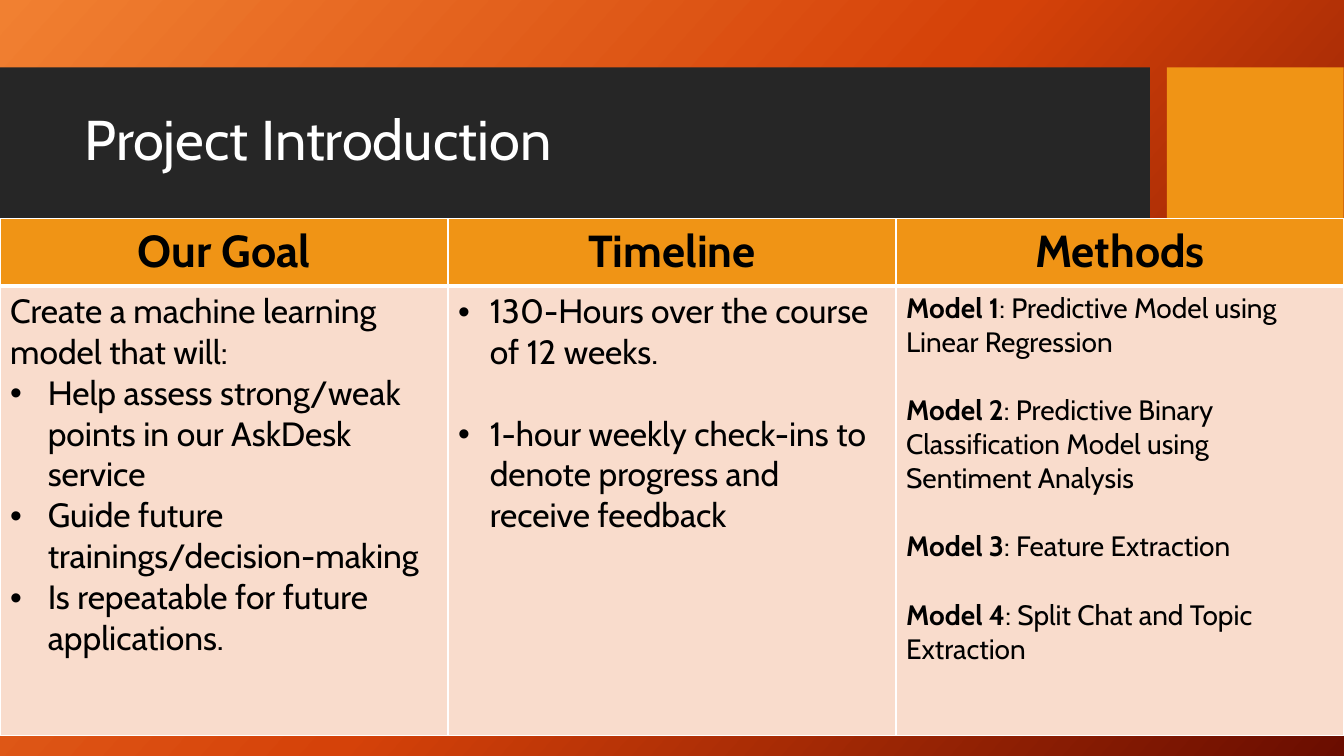
from copy import deepcopy
from dataclasses import dataclass

from lxml.etree import SubElement
from pptx import Presentation
from pptx.dml.color import RGBColor
from pptx.enum.shapes import MSO_SHAPE
from pptx.enum.text import MSO_ANCHOR, PP_ALIGN
from pptx.oxml.ns import qn
from pptx.util import Cm, Pt


@dataclass(frozen=True)
class Theme:
    font: str = "Cabin"
    background: tuple[str, ...] = ("F18031", "D54209", "6A0D00")
    background_angle: int = 42
    banner: str = "262626"
    accent: str = "F09415"
    body: str = "F9DCCC"
    light: str = "FFFFFF"
    dark: str = "000000"
    title_size: int = 40
    heading_size: int = 32
    goal_size: int = 24
    method_size: int = 20
    border: int = 1
    heading_rule: int = 3


@dataclass(frozen=True)
class Entry:
    text: str
    lead: str = ""
    indent: float = 0
    gap: float = 0


@dataclass(frozen=True)
class Topic:
    heading: str
    size: int
    entries: tuple[Entry, ...]


@dataclass(frozen=True)
class Band:
    left: float
    width: float
    color: str


THEME = Theme()
SLIDE_WIDTH, SLIDE_HEIGHT = 33.87, 19.05
BAND_TOP, BAND_HEIGHT = 1.7, 3.81
HEADING_HEIGHT, BODY_HEIGHT = 1.7, 11.32
GOAL_INDENT, TIMELINE_INDENT = 0.95, 0.8
TIMELINE_GAP, METHOD_GAP = 29.2, 24.3

BANDS = (
    Band(0, 28.98, THEME.banner),
    Band(29.41, 4.45, THEME.accent),
)

TOPICS = (
    Topic("Our Goal", THEME.goal_size, (
        Entry("Create a machine learning model that will:"),
        Entry("Help assess strong/weak points in our AskDesk service", indent=GOAL_INDENT),
        Entry("Guide future trainings/decision-making", indent=GOAL_INDENT),
        Entry("Is repeatable for future applications.", indent=GOAL_INDENT),
    )),
    Topic("Timeline", THEME.goal_size, (
        Entry("130-Hours over the course of 12 weeks.", indent=TIMELINE_INDENT),
        Entry("1-hour weekly check-ins to denote progress and receive feedback",
              indent=TIMELINE_INDENT, gap=TIMELINE_GAP),
    )),
    Topic("Methods", THEME.method_size, (
        Entry(": Predictive Model using Linear Regression", "Model 1"),
        Entry(": Predictive Binary Classification Model using Sentiment Analysis",
              "Model 2", gap=METHOD_GAP),
        Entry(": Feature Extraction", "Model 3", gap=METHOD_GAP),
        Entry(": Split Chat and Topic Extraction", "Model 4", gap=METHOD_GAP),
    )),
)


def rgb(color: str) -> RGBColor:
    return RGBColor.from_string(color)


def style_font(paragraph, size: int, color: str) -> None:
    paragraph.font.name = THEME.font
    paragraph.font.size = Pt(size)
    paragraph.font.color.rgb = rgb(color)


def paint_background(slide) -> None:
    fill = slide.background.fill
    fill.gradient()
    fill.gradient_angle = 360 - THEME.background_angle
    stop_list = slide.element.find(f".//{qn('a:gsLst')}")
    stop_list.append(deepcopy(stop_list[-1]))
    last = len(THEME.background) - 1
    for index, (stop, color) in enumerate(zip(fill.gradient_stops, THEME.background)):
        stop.color.rgb = rgb(color)
        stop.position = index / last


def draw_band(slide, band: Band) -> None:
    rectangle = slide.shapes.add_shape(
        MSO_SHAPE.RECTANGLE, Cm(band.left), Cm(BAND_TOP), Cm(band.width), Cm(BAND_HEIGHT))
    rectangle.shadow.inherit = False
    rectangle.fill.solid()
    rectangle.fill.fore_color.rgb = rgb(band.color)
    rectangle.line.fill.background()


def draw_title(slide, title: str) -> None:
    frame = slide.shapes.add_textbox(Cm(1.88), Cm(2.08), Cm(26.7), Cm(3)).text_frame
    frame.word_wrap = True
    frame.vertical_anchor = MSO_ANCHOR.MIDDLE
    paragraph = frame.paragraphs[0]
    paragraph.text = title
    paragraph.line_spacing = 0.9
    style_font(paragraph, THEME.title_size, THEME.light)


def style_cell(cell, color: str, top: int, bottom: int) -> None:
    properties = cell._tc.get_or_add_tcPr()
    widths = {"a:lnL": THEME.border, "a:lnR": THEME.border, "a:lnT": top, "a:lnB": bottom}
    for side, width in widths.items():
        line = SubElement(properties, qn(side), w=str(Pt(width)))
        SubElement(SubElement(line, qn("a:solidFill")), qn("a:srgbClr"), val=THEME.light)
    cell.fill.solid()
    cell.fill.fore_color.rgb = rgb(color)


def add_bullet(paragraph, indent: float) -> None:
    properties = paragraph._p.get_or_add_pPr()
    properties.set("marL", str(Cm(indent)))
    properties.set("indent", str(-Cm(indent)))
    bullet_font = SubElement(properties, qn("a:buFont"), typeface="Arial")
    bullet_font.addnext(properties.makeelement(qn("a:buChar"), {"char": "•"}))


def write_entry(paragraph, entry: Entry, size: int) -> None:
    if entry.gap:
        paragraph.space_before = Pt(entry.gap)
    if entry.indent:
        add_bullet(paragraph, entry.indent)
    style_font(paragraph, size, THEME.dark)
    if entry.lead:
        lead = paragraph.add_run()
        lead.text = entry.lead
        lead.font.bold = True
    paragraph.add_run().text = entry.text


def write_topic(table, column: int, topic: Topic) -> None:
    heading_cell, body_cell = table.cell(0, column), table.cell(1, column)
    style_cell(heading_cell, THEME.accent, THEME.border, THEME.heading_rule)
    style_cell(body_cell, THEME.body, THEME.heading_rule, THEME.border)
    heading = heading_cell.text_frame.paragraphs[0]
    heading.text = topic.heading
    heading.alignment = PP_ALIGN.CENTER
    style_font(heading, THEME.heading_size, THEME.dark)
    heading.font.bold = True
    frame = body_cell.text_frame
    for index, entry in enumerate(topic.entries):
        paragraph = frame.add_paragraph() if index else frame.paragraphs[0]
        write_entry(paragraph, entry, topic.size)


def draw_topics(slide) -> None:
    table = slide.shapes.add_table(
        2, len(TOPICS), Cm(0), Cm(BAND_TOP + BAND_HEIGHT),
        Cm(SLIDE_WIDTH), Cm(HEADING_HEIGHT + BODY_HEIGHT)).table
    table.first_row = False
    table.horz_banding = False
    table.rows[0].height = Cm(HEADING_HEIGHT)
    table.rows[1].height = Cm(BODY_HEIGHT)
    for column, topic in enumerate(TOPICS):
        write_topic(table, column, topic)


def main() -> None:
    presentation = Presentation()
    presentation.slide_width = Cm(SLIDE_WIDTH)
    presentation.slide_height = Cm(SLIDE_HEIGHT)
    slide = presentation.slides.add_slide(presentation.slide_layouts[6])
    paint_background(slide)
    for band in BANDS:
        draw_band(slide, band)
    draw_title(slide, "Project Introduction")
    draw_topics(slide)
    presentation.save("out.pptx")


if __name__ == "__main__":
    main()
